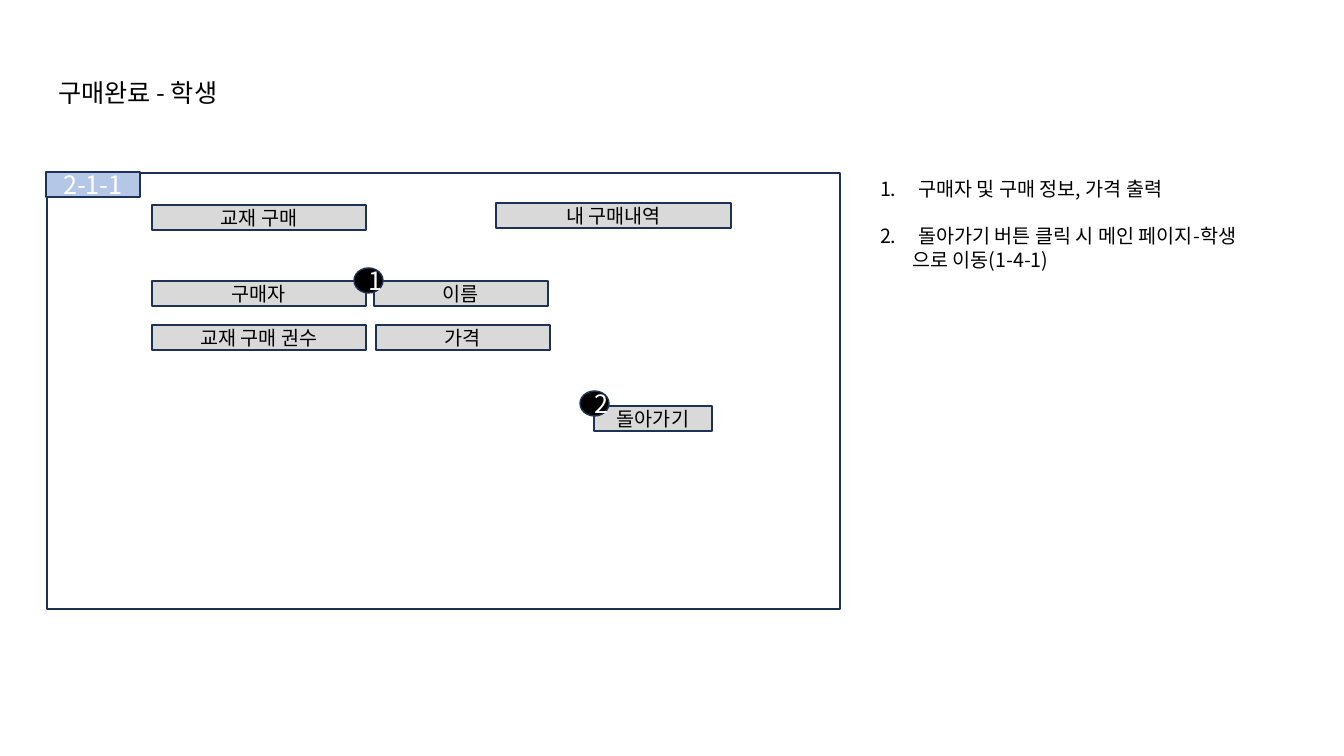
from dataclasses import dataclass

from lxml.etree import SubElement
from pptx import Presentation
from pptx.dml.color import RGBColor
from pptx.enum.shapes import MSO_SHAPE as Preset
from pptx.enum.text import MSO_ANCHOR as Anchor, MSO_AUTO_SIZE as AutoSize, PP_ALIGN as Align
from pptx.oxml.ns import qn
from pptx.util import Emu, Pt

COLORS = {
    "white": "FFFFFF",
    "black": "000000",
    "outline": "1E3256",
    "tag": "B4C7E7",
    "field": "D9D9D9",
}
FONT = "Noto Sans CJK KR"
PX_PER_INCH = 100.8
ROW_HEIGHT = 25
MARKER_WIDTH = 29


@dataclass
class Block:
    left: int
    top: int
    width: int
    text: str = ""
    height: int = ROW_HEIGHT
    fill: str = "field"
    color: str = "black"
    size: int = 14
    preset: Preset = Preset.RECTANGLE


@dataclass
class Note:
    text: str
    margin: int
    indent: int = 0
    gap: int = 0


def px(value: int) -> Emu:
    return Emu(round(value * 914400 / PX_PER_INCH))


def rgb(name: str) -> RGBColor:
    return RGBColor.from_string(COLORS[name])


def marker(left: int, top: int, number: int) -> Block:
    return Block(left, top, MARKER_WIDTH, str(number), fill="black", color="white",
                 size=18, preset=Preset.OVAL)


def style(para, size: int, color: str, align: Align = Align.LEFT) -> None:
    para.alignment = align
    para.font.size = Pt(size)
    para.font.name = FONT
    para.font.color.rgb = rgb(color)
    defaults = para._p.pPr.find(qn("a:defRPr"))
    SubElement(defaults, qn("a:ea"), typeface=FONT)


def place(shape, left: int, top: int, width: int, height: int) -> None:
    shape.left, shape.top = px(left), px(top)
    shape.width, shape.height = px(width), px(height)


def draw_block(page, block: Block) -> None:
    shape = page.shapes.add_shape(block.preset, px(block.left), px(block.top),
                                  px(block.width), px(block.height))
    shape.shadow.inherit = False
    shape.fill.solid()
    shape.fill.fore_color.rgb = rgb(block.fill)
    shape.line.color.rgb = rgb("outline")
    shape.line.width = Pt(1)
    if block.text:
        shape.text_frame.text = block.text
        shape.text_frame.vertical_anchor = Anchor.MIDDLE
        style(shape.text_frame.paragraphs[0], block.size, block.color, Align.CENTER)


def draw_title(page, text: str) -> None:
    title = page.shapes.title
    place(title, 48, 72, 211, 40)
    frame = title.text_frame
    frame.text = text
    frame.word_wrap = False
    frame.auto_size = AutoSize.NONE
    frame.vertical_anchor = Anchor.TOP
    style(frame.paragraphs[0], 18, "black")


def draw_notes(page, notes: list[Note]) -> None:
    body = page.placeholders[1]
    place(body, 870, 172, 474, 105)
    frame = body.text_frame
    frame.word_wrap = True
    frame.auto_size = AutoSize.NONE
    for index, note in enumerate(notes):
        para = frame.paragraphs[0] if index == 0 else frame.add_paragraph()
        para.text = note.text
        para.space_before = Pt(note.gap)
        props = para._p.get_or_add_pPr()
        props.set("marL", str(px(note.margin)))
        props.set("indent", str(px(note.indent)))
        if note.indent:
            SubElement(props, qn("a:buFont"), typeface="+mj-lt")
            SubElement(props, qn("a:buAutoNum"), type="arabicPeriod")
        else:
            SubElement(props, qn("a:buNone"))
        style(para, 14, "black")


NOTES = [
    Note("구매자 및 구매 정보, 가격 출력", 38, -38),
    Note("돌아가기 버튼 클릭 시 메인 페이지-학생", 38, -38, gap=17),
    Note("으로 이동(1-4-1)", 32),
]

BLOCKS = [
    Block(47, 173, 793, height=436, fill="white"),
    Block(46, 172, 94, "2-1-1", fill="tag", color="white", size=18),
    Block(152, 205, 214, "교재 구매"),
    Block(496, 203, 235, "내 구매내역"),
    Block(594, 406, 118, "돌아가기"),
    Block(152, 281, 214, "구매자"),
    Block(374, 281, 174, "이름"),
    Block(152, 325, 214, "교재 구매 권수"),
    Block(376, 325, 174, "가격"),
    marker(354, 268, 1),
    marker(580, 391, 2),
]


def main() -> None:
    deck = Presentation()
    deck.slide_width, deck.slide_height = px(1344), px(756)
    page = deck.slides.add_slide(deck.slide_layouts[1])
    draw_title(page, "구매완료 - 학생")
    draw_notes(page, NOTES)
    for block in BLOCKS:
        draw_block(page, block)
    deck.save("out.pptx")


if __name__ == "__main__":
    main()
